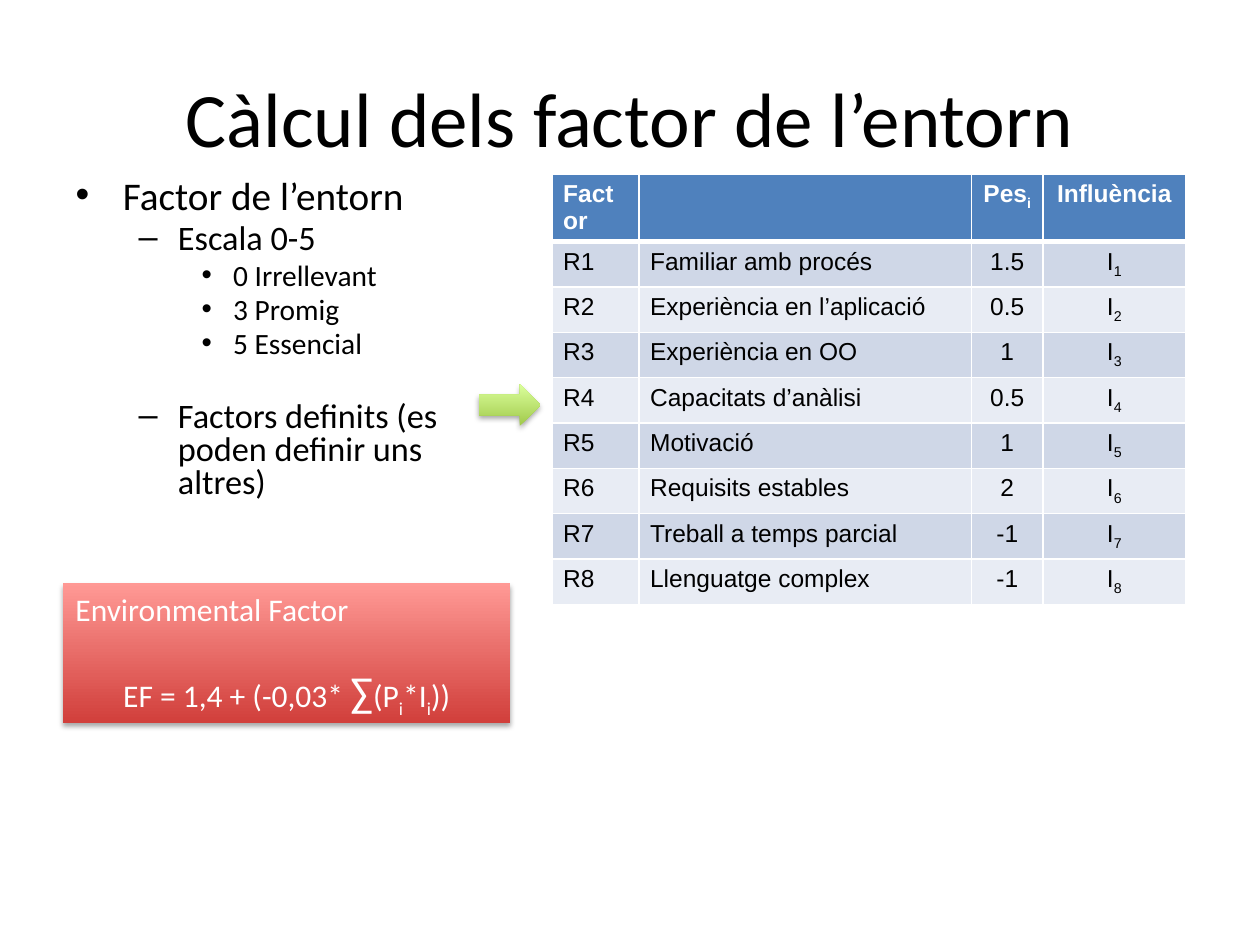
import dataclasses

import pptx
import pptx.dml.color
import pptx.enum.shapes
import pptx.enum.text
import pptx.oxml
import pptx.oxml.ns
import pptx.util
from pptx.util import Inches

ALIGN = pptx.enum.text.PP_ALIGN
ANCHOR = pptx.enum.text.MSO_ANCHOR
SHAPE = pptx.enum.shapes.MSO_SHAPE


@dataclasses.dataclass(frozen=True)
class Theme:
    text_font: str = "Calibri"
    table_font: str = "Arial"
    dark: str = "000000"
    light: str = "FFFFFF"
    header: str = "4F81BD"
    bands: tuple = ("CFD7E7", "E8ECF4")
    red: tuple = ("D13F3B", "FF9995")
    green: tuple = ("A0C94A", "DBFF9C")
    title_size: float = 44
    level_sizes: tuple = (22.4, 19.6, 16.8)
    level_gaps: tuple = (0, 3.9, 3.4)
    formula_size: float = 18
    sum_size: float = 24
    table_size: float = 14


def rgb(color):
    return pptx.dml.color.RGBColor.from_string(color)


class SlideBuilder:
    def __init__(self, slide, theme):
        self.slide = slide
        self.theme = theme

    def place(self, shape, box):
        shape.left, shape.top, shape.width, shape.height = map(Inches, box)

    def add_run(self, paragraph, text, size, color, font=None, bold=False, subscript=False):
        run = paragraph.add_run()
        run.text = text
        run.font.name = font or self.theme.text_font
        run.font.size = pptx.util.Pt(size)
        run.font.bold = bold
        run.font.color.rgb = rgb(color)
        if subscript:
            run.font._element.set("baseline", "-25000")

    def title(self, text, box):
        shape = self.slide.shapes.title
        self.place(shape, box)
        frame = shape.text_frame
        frame.auto_size = pptx.enum.text.MSO_AUTO_SIZE.NONE
        frame.vertical_anchor = ANCHOR.MIDDLE
        paragraph = frame.paragraphs[0]
        paragraph.alignment = ALIGN.CENTER
        self.add_run(paragraph, text, self.theme.title_size, self.theme.dark)

    def bullets(self, items, box):
        """Each item is (level, text, extra space before in points)."""
        shape = self.slide.placeholders[1]
        self.place(shape, box)
        frame = shape.text_frame
        frame.auto_size = pptx.enum.text.MSO_AUTO_SIZE.NONE
        for index, (level, text, extra) in enumerate(items):
            paragraph = frame.add_paragraph() if index else frame.paragraphs[0]
            paragraph.level = level
            paragraph.line_spacing = 0.8
            paragraph.space_before = pptx.util.Pt(self.theme.level_gaps[level] + extra)
            self.add_run(paragraph, text, self.theme.level_sizes[level], self.theme.dark)

    def gradient_shape(self, kind, box, colors):
        shape = self.slide.shapes.add_shape(kind, *map(Inches, box))
        shape.fill.gradient()
        shape.fill.gradient_angle = 90
        for stop, color, position in zip(shape.fill.gradient_stops, colors, (0, 1)):
            stop.color.rgb = rgb(color)
            stop.position = position
        shape.line.fill.background()
        # Soft shadow straight below the shape
        shape.shadow.inherit = False
        effects = shape._element.spPr.find(pptx.oxml.ns.qn("a:effectLst"))
        effects.append(pptx.oxml.parse_xml(
            f'<a:outerShdw {pptx.oxml.ns.nsdecls("a")} blurRad="39400" dist="22900" '
            f'dir="5400000" rotWithShape="0"><a:srgbClr val="{self.theme.dark}">'
            '<a:alpha val="35000"/></a:srgbClr></a:outerShdw>'))
        return shape

    def formula_box(self, heading, formula, box):
        """Formula parts are (text, size, subscript)."""
        frame = self.gradient_shape(SHAPE.RECTANGLE, box, self.theme.red).text_frame
        frame.word_wrap = True
        frame.vertical_anchor = ANCHOR.TOP
        paragraph = frame.paragraphs[0]
        paragraph.alignment = ALIGN.LEFT
        self.add_run(paragraph, heading, self.theme.formula_size, self.theme.light)
        paragraph = frame.add_paragraph()
        paragraph.alignment = ALIGN.CENTER
        paragraph.space_before = pptx.util.Pt(22)
        for text, size, subscript in formula:
            self.add_run(paragraph, text, size, self.theme.light, subscript=subscript)

    def style_cell(self, cell, fill, bottom_width):
        properties = cell._tc.get_or_add_tcPr()
        for side, width in (("L", 1), ("R", 1), ("T", 1), ("B", bottom_width)):
            properties.append(pptx.oxml.parse_xml(
                f'<a:ln{side} {pptx.oxml.ns.nsdecls("a")} w="{width * 12700}"><a:solidFill>'
                f'<a:srgbClr val="{self.theme.light}"/></a:solidFill></a:ln{side}>'))
        cell.fill.solid()
        cell.fill.fore_color.rgb = rgb(fill)
        cell.margin_left = cell.margin_right = Inches(0.09)
        cell.margin_top = cell.margin_bottom = Inches(0.05)

    def table(self, rows, left, top, widths, heights):
        """A cell is a (text, subscript) pair; the last two columns are centred."""
        theme = self.theme
        table = self.slide.shapes.add_table(
            len(rows), len(widths), Inches(left), Inches(top),
            Inches(sum(widths)), Inches(sum(heights))).table
        for column, width in zip(table.columns, widths):
            column.width = Inches(width)
        for row_index, (row, height) in enumerate(zip(rows, heights)):
            header = row_index == 0
            table.rows[row_index].height = Inches(height)
            fill = theme.header if header else theme.bands[(row_index - 1) % 2]
            color = theme.light if header else theme.dark
            for column_index, parts in enumerate(row):
                cell = table.cell(row_index, column_index)
                self.style_cell(cell, fill, 3 if header else 1)
                paragraph = cell.text_frame.paragraphs[0]
                paragraph.alignment = ALIGN.CENTER if column_index >= 2 else ALIGN.LEFT
                for text, subscript in zip(parts, (False, True)):
                    if text:
                        self.add_run(paragraph, text, theme.table_size, color,
                                     theme.table_font, header, subscript)


def main():
    presentation = pptx.Presentation()
    presentation.slide_width, presentation.slide_height = Inches(10), Inches(7.5)
    theme = Theme()
    builder = SlideBuilder(
        presentation.slides.add_slide(presentation.slide_layouts[1]), theme)

    # Title and scale
    builder.title("Càlcul dels factor de l’entorn", (0.5, 0.3, 9, 1.25))
    builder.bullets([
        (0, "Factor de l’entorn", 0),
        (1, "Escala 0-5", 0),
        (2, "0 Irrellevant", 0),
        (2, "3 Promig", 0),
        (2, "5 Essencial", 0),
        (1, "Factors definits (es poden definir uns altres)", 20),
    ], (0.5, 1.38, 3.55, 2.85))

    # Factor table
    factors = [
        ("Familiar amb procés", "1.5"),
        ("Experiència en l’aplicació", "0.5"),
        ("Experiència en OO", "1"),
        ("Capacitats d’anàlisi", "0.5"),
        ("Motivació", "1"),
        ("Requisits estables", "2"),
        ("Treball a temps parcial", "-1"),
        ("Llenguatge complex", "-1"),
    ]
    rows = [[("Factor", ""), ("", ""), ("Pes", "i"), ("Influència", "")]]
    for number, (name, weight) in enumerate(factors, 1):
        rows.append([(f"R{number}", ""), (name, ""), (weight, ""), ("I", str(number))])
    builder.table(rows, 4.38, 1.38, (0.69, 2.64, 0.57, 1.13),
                  [0.53] + [0.36] * len(factors))

    # Formula and arrow to the table
    size = theme.formula_size
    builder.formula_box("Environmental Factor", [
        ("EF = 1,4 + (-0,03* ", size, False),
        ("∑", theme.sum_size, False),
        ("(P", size, False),
        ("i", size, True),
        ("*I", size, False),
        ("i", size, True),
        ("))", size, False),
    ], (0.5, 4.63, 3.55, 1.11))
    builder.gradient_shape(SHAPE.RIGHT_ARROW, (3.8, 3.05, 0.49, 0.33), theme.green)

    presentation.save("out.pptx")


if __name__ == "__main__":
    main()
